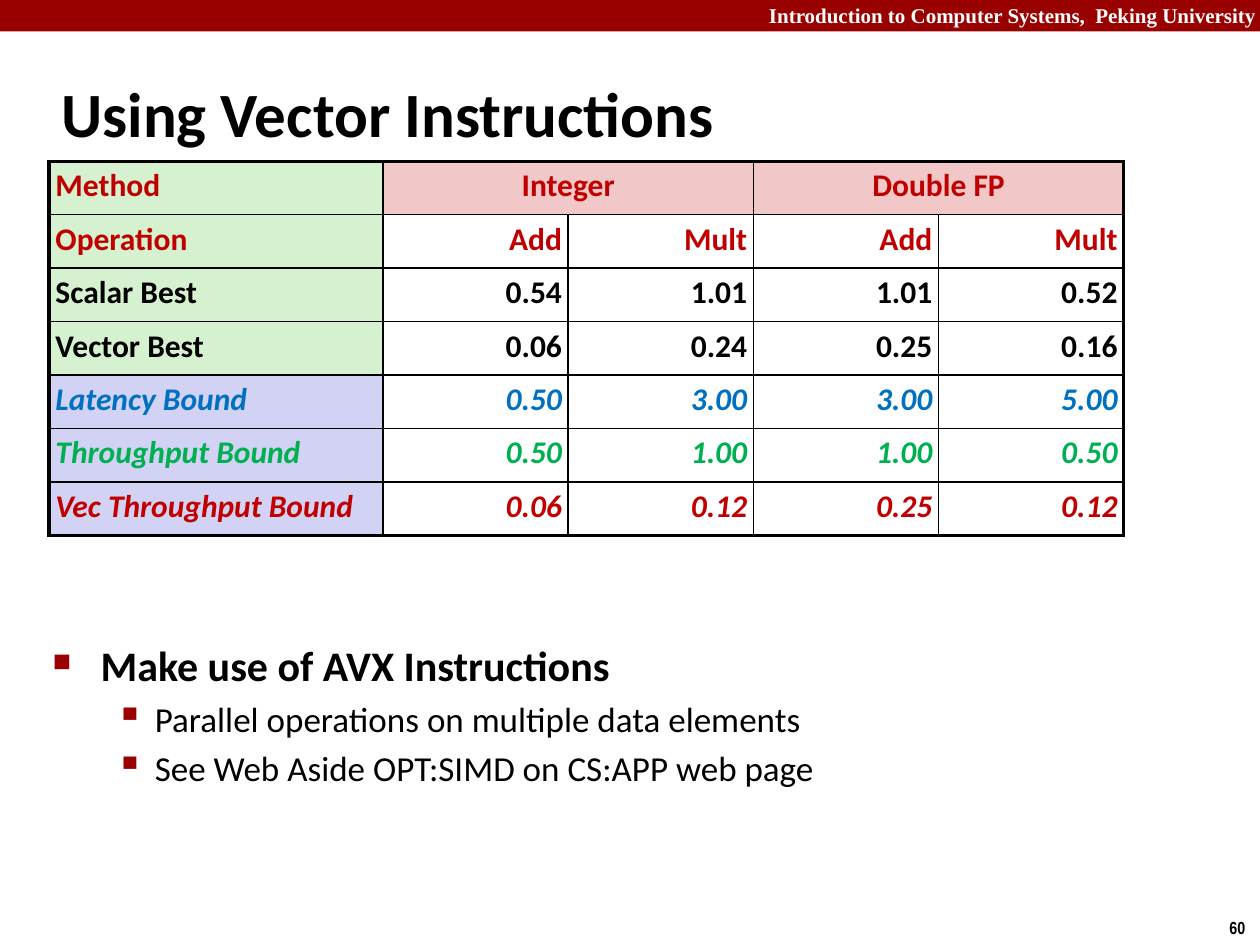
"""Build the slide on using vector instructions."""
from lxml.etree import SubElement as Sub
from pptx import Presentation
from pptx.dml.color import RGBColor as RGB
from pptx.enum.shapes import MSO_SHAPE as Shape
from pptx.enum.text import MSO_ANCHOR as Anchor, PP_ALIGN as Align
from pptx.oxml.ns import qn
from pptx.util import Inches, Pt

BLACK = RGB(0, 0, 0)
WHITE = RGB(255, 255, 255)
MAROON = RGB(0x99, 0, 0)
RED = RGB(0xC0, 0, 0)
BLUE = RGB(0, 0x70, 0xC0)
GREEN = RGB(0, 0xB0, 0x50)
MINT = RGB(0xD5, 0xF1, 0xCF)
PINK = RGB(0xF1, 0xC7, 0xC7)
LILAC = RGB(0xD2, 0xD2, 0xF4)

COLS, ROWS = 100, 75
deck = Presentation()
deck.slide_width, deck.slide_height = Inches(10), Inches(7.5)
UNIT = deck.slide_width // COLS
slide = deck.slides.add_slide(deck.slide_layouts[6])


def grid(*spans):
    return [round(span * UNIT) for span in spans]


def write(para, words, color, **form):
    run = para.add_run()
    run.text = words
    run.font.color.rgb = color
    for key, value in ({"name": "Calibri", "bold": True} | form).items():
        setattr(run.font, key, value)


band = slide.shapes.add_shape(Shape.RECTANGLE, *grid(0, 0, COLS, 2.5))
band.shadow.inherit = False
band.fill.solid()
band.fill.fore_color.rgb = MAROON
band.line.fill.background()

labels = [
    ((60, -0.3, 40.7, 3), "Introduction to Computer Systems,  Peking University ", WHITE,
     {"size": Pt(12), "name": "Times New Roman"}, Align.RIGHT, Anchor.TOP, True),
    ((96.6, 72.3, 3.4, 2.7), "60", BLACK,
     {"size": Pt(10), "name": "Arial Narrow"}, Align.LEFT, Anchor.TOP, False),
    ((3.9, 4.8, 83, 8.3), "Using Vector Instructions", BLACK,
     {"size": Pt(36)}, Align.LEFT, Anchor.MIDDLE, True),
]
for area, words, color, form, align, anchor, wrap in labels:
    frame = slide.shapes.add_textbox(*grid(*area)).text_frame
    frame.word_wrap, frame.vertical_anchor = wrap, anchor
    para = frame.paragraphs[0]
    para.alignment = align
    write(para, words, color, **form)

body = slide.shapes.add_textbox(*grid(3.2, 50.3, 90.9, 20.5)).text_frame
body.word_wrap = True
points = [
    (0, "Make use of AVX Instructions"),
    (1, "Parallel operations on multiple data elements"),
    (1, "See Web Aside OPT:SIMD on CS:APP web page"),
]
levels = [
    {"left": 3.8, "hang": -3.8, "mark": "■", "share": 60, "size": 24, "bold": True},
    {"left": 8.1, "hang": -3.1, "mark": "▪", "share": 110, "size": 20, "bold": False},
]
for row, (depth, words) in enumerate(points):
    look = levels[depth]
    para = body.add_paragraph() if row else body.paragraphs[0]
    para.level = depth
    para.space_before = Pt(4 if row else 0)
    props = para._p.get_or_add_pPr()
    for key, span in zip(("marL", "indent"), grid(look["left"], look["hang"])):
        props.set(key, str(span))
    Sub(Sub(props, qn("a:buClr")), qn("a:srgbClr"), val=str(MAROON))
    Sub(props, qn("a:buSzPct"), val=str(look["share"] * 1000))
    Sub(props, qn("a:buChar"), char=look["mark"])
    write(para, words, BLACK, size=Pt(look["size"]), bold=look["bold"])

lines = [
    (["Method", "Integer", "", "Double FP", ""], RED, False, MINT),
    (["Operation", "Add", "Mult", "Add", "Mult"], RED, False, MINT),
    (["Scalar Best", "0.54", "1.01", "1.01", "0.52"], BLACK, False, MINT),
    (["Vector Best", "0.06", "0.24", "0.25", "0.16"], BLACK, False, MINT),
    (["Latency Bound", "0.50", "3.00", "3.00", "5.00"], BLUE, True, LILAC),
    (["Throughput Bound", "0.50", "1.00", "1.00", "0.50"], GREEN, True, LILAC),
    (["Vec Throughput Bound", "0.06", "0.12", "0.25", "0.12"], RED, True, LILAC),
]
high, wide = len(lines), len(lines[0][0])
table = slide.shapes.add_table(high, wide, *grid(3.9, 12.8, 85.3, 29.7)).table
for col, span in zip(table.columns, grid(26.5, *[14.7] * 4)):
    col.width = span
for left in (1, 3):
    table.cell(0, left).merge(table.cell(0, left + 1))

for y, (words, color, slant, tint) in enumerate(lines):
    for x, word in enumerate(words):
        cell = table.cell(y, x)
        for side in ("left", "right", "top", "bottom"):
            setattr(cell, f"margin_{side}", Inches(0.05))
        outer = {"L": x == 0, "R": x + cell.span_width == wide,
                 "T": y == 0, "B": y == high - 1}
        props = cell._tc.get_or_add_tcPr()
        for side, edge in outer.items():
            line = Sub(props, qn(f"a:ln{side}"), w=str(Pt(2.25 if edge else 1)))
            Sub(Sub(line, qn("a:solidFill")), qn("a:srgbClr"), val=str(BLACK))
        if x == 0 or y == 0:
            cell.fill.solid()
            cell.fill.fore_color.rgb = PINK if x else tint
        else:
            cell.fill.background()
        if word:
            para = cell.text_frame.paragraphs[0]
            para.line_spacing = 0.95
            para.alignment = Align.LEFT if x == 0 else Align.RIGHT if y else Align.CENTER
            write(para, word, color, size=Pt(18), italic=slant)

deck.save("out.pptx")
